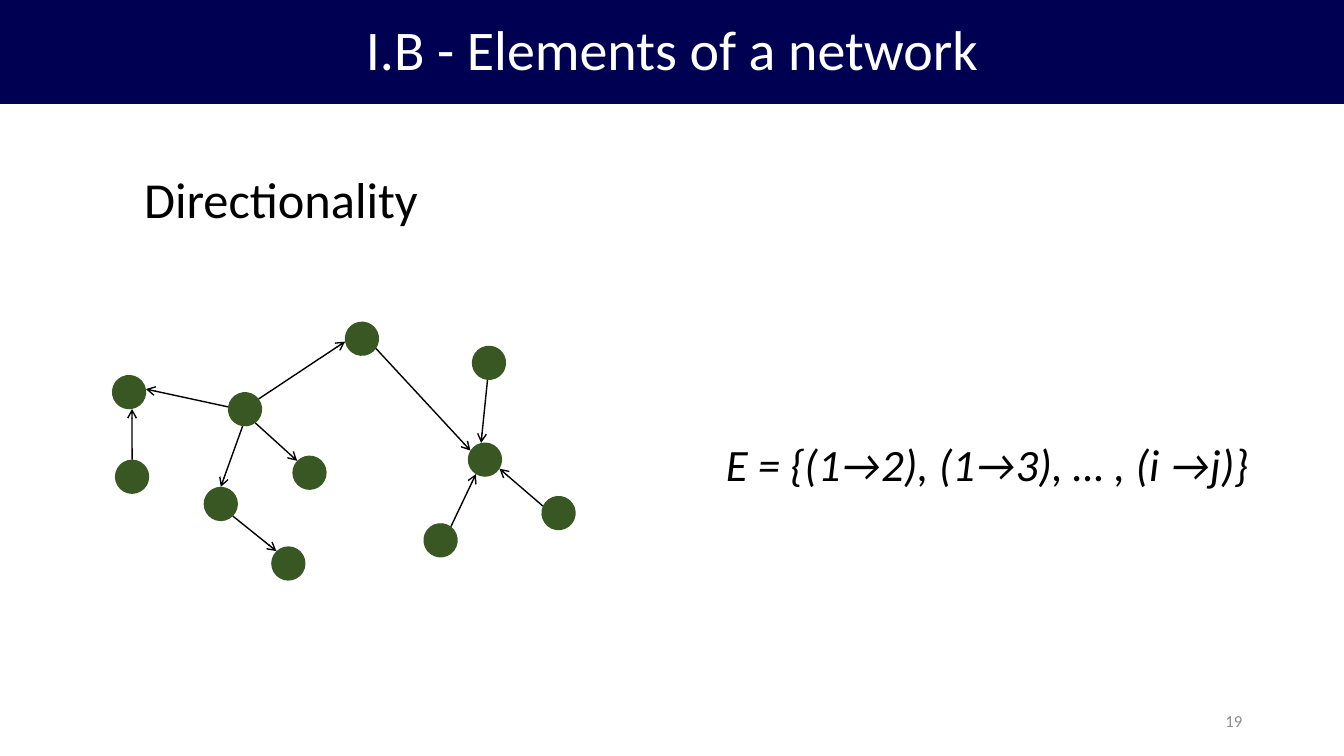
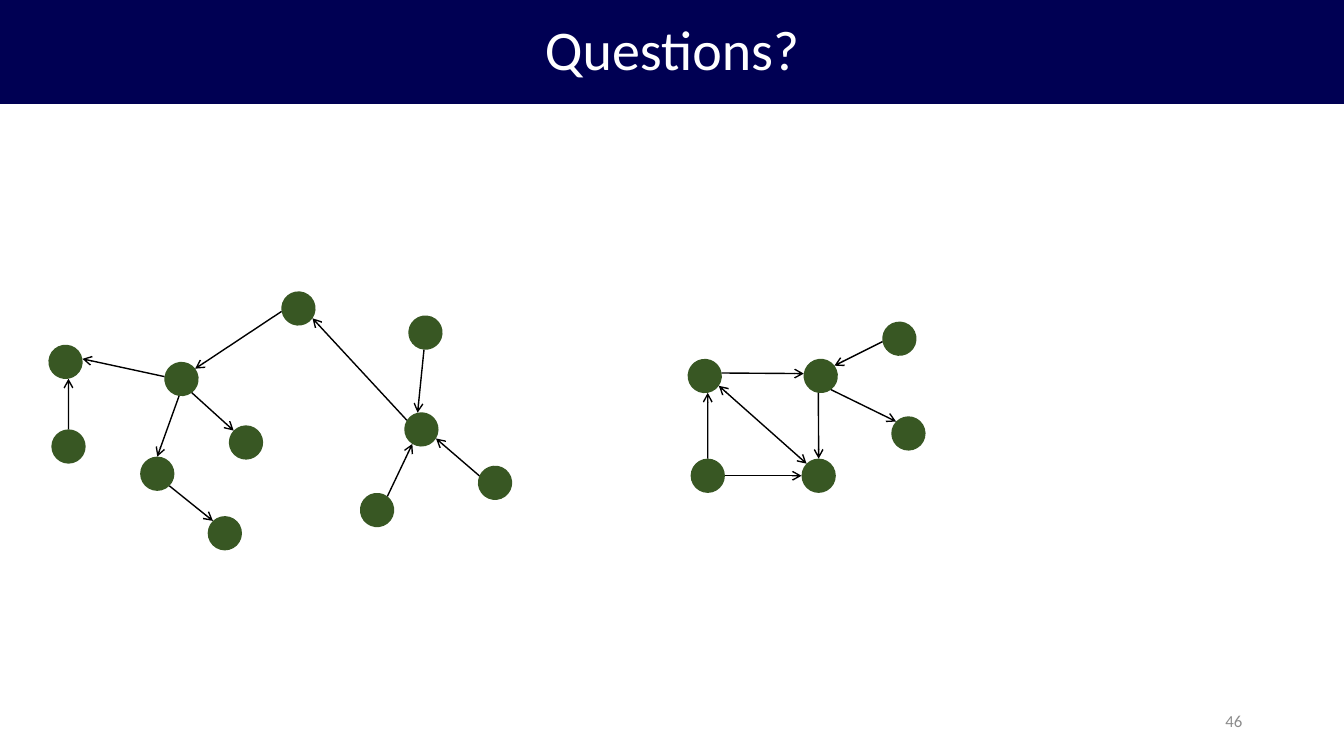
from math import atan2, cos, degrees, radians, sin

from lxml.etree import SubElement
from pptx import Presentation
from pptx.dml.color import RGBColor as Rgb
from pptx.enum.shapes import MSO_CONNECTOR as Link, MSO_SHAPE as Shape
from pptx.enum.text import MSO_ANCHOR as Anchor, MSO_AUTO_SIZE as Fit, PP_ALIGN as Align
from pptx.oxml.ns import qn
from pptx.util import Inches, Pt

HUES = {"band": "000053", "title": "FFFFFF", "text": "000000",
        "page": "8C8C8C", "node": "385723", "edge": "000000"}
FACE = "Calibri"
SIZE = 0.34
STEP = 45

TREE = {"a": (0.17, 0.7, -10), "c": (1.32, 0.87, 53), "d": (1.96, 1.5, 314),
        "e": (1.08, 1.81, 0), "f": (1.75, 2.4, 316), "g": (0.2, 1.54, 0),
        "h": (2.48, 0.17, 260), "k": (3.26, 2.17, 307), "m": (3.7, 1.37, 347),
        "n": (3.74, 0.41, 5), "p": (4.43, 1.9, 24)}
LOOP = {"a": (0.17, 0.54, -10), "c": (1.32, 0.54, 53), "v": (1.3, 1.53, 0),
        "g": (0.2, 1.53, 0), "d": (2.19, 1.11, 314), "h": (2.1, 0.17, 260)}
BASE = "c>a g>a c>e c>d e>f k>m n>m p>m"
RING = "a>c g>a c>v c>d h>c g>v v<>a"


def dress(item, form):
    """Set each format value on an item."""
    for name, value in form.items():
        setattr(item, name, value)


def tint(fill, hue):
    """Fill with one named colour."""
    fill.solid()
    fill.fore_color.rgb = Rgb.from_string(HUES[hue])


def write(shape, text, size, hue, frame=None, para=None, font=None):
    """Put one styled line of text in a shape."""
    body = shape.text_frame
    dress(body, {"word_wrap": True, "auto_size": Fit.NONE, **(frame or {})})
    line = body.paragraphs[0]
    line.text = text
    dress(line, para or {})
    dress(line.font, {"name": FACE, "size": Pt(size), **(font or {})})
    line.font.color.rgb = Rgb.from_string(HUES[hue])


def label(slide, box, text, size, hue, **form):
    """Add a text box."""
    shape = slide.shapes.add_textbox(*map(Inches, box))
    write(shape, text, size, hue, **form)


def start(deck, title, page):
    """Add a slide with its title band and page number."""
    slide = deck.slides.add_slide(deck.slide_layouts[5])
    band = slide.shapes.title
    dress(band, {"left": 0, "top": 0, "width": deck.slide_width, "height": Inches(1.03)})
    tint(band.fill, "band")
    write(band, title, 40, "title", frame={"vertical_anchor": Anchor.MIDDLE},
          para={"alignment": Align.CENTER, "line_spacing": 0.9})
    label(slide, (9.42, 6.95, 3, 0.4), page, 12, "page",
          frame={"vertical_anchor": Anchor.MIDDLE}, para={"alignment": Align.RIGHT})
    return slide


def site(node, mate):
    """Find the rim point of a node that best faces its mate."""
    x, y, turn = node
    aim = degrees(atan2(mate[1] - y, mate[0] - x))
    angle = radians(turn + STEP * round((aim - turn) / STEP))
    return x + SIZE / 2 * cos(angle), y + SIZE / 2 * sin(angle)


def join(slide, tail, head, both):
    """Draw an arrow from one node to another."""
    ends = site(tail, head) + site(head, tail)
    edge = slide.shapes.add_connector(Link.STRAIGHT, *map(Inches, ends))
    edge.line.width = Pt(1)
    tint(edge.line.fill, "edge")
    line = edge.line._get_or_add_ln()
    for tag in ["a:headEnd"] * both + ["a:tailEnd"]:
        SubElement(line, qn(tag), type="arrow")
    SubElement(edge._element.spPr, qn("a:effectLst"))


def graph(slide, left, top, nodes, edges):
    """Draw a directed graph from its top left corner."""
    spots = {key: (left + x, top + y, turn) for key, (x, y, turn) in nodes.items()}
    for x, y, turn in spots.values():
        box = (x - SIZE / 2, y - SIZE / 2, SIZE, SIZE)
        dot = slide.shapes.add_shape(Shape.OVAL, *map(Inches, box))
        dot.rotation = turn
        dot.shadow.inherit = False
        tint(dot.fill, "node")
        dot.line.fill.background()
    for edge in edges.split():
        join(slide, spots[edge[0]], spots[edge[-1]], "<" in edge)


def paths(deck):
    """Build the slide on directed edges."""
    slide = start(deck, "I.B - Elements of a network", "19")
    label(slide, (1.33, 1.62, 2.95, 0.71), "Directionality", 36, "text",
          frame={"word_wrap": False})
    label(slide, (7.1, 4.28, 5.55, 0.64), "E = {(1→2), (1→3), … , (i →j)}", 32, "text",
          frame={"word_wrap": False}, font={"italic": True})
    graph(slide, 1.11, 3.19, TREE, BASE + " c>h h>m")


def query(deck):
    """Build the closing slide with two graphs."""
    slide = start(deck, "Questions?", "46")
    graph(slide, 0.48, 2.89, TREE, BASE + " h>c m>h")
    graph(slide, 6.82, 3.19, LOOP, RING)


def main():
    """Build and save the deck."""
    deck = Presentation()
    dress(deck, {"slide_width": Inches(13.33), "slide_height": Inches(7.5)})
    paths(deck)
    query(deck)
    deck.save("out.pptx")


if __name__ == "__main__":
    main()
